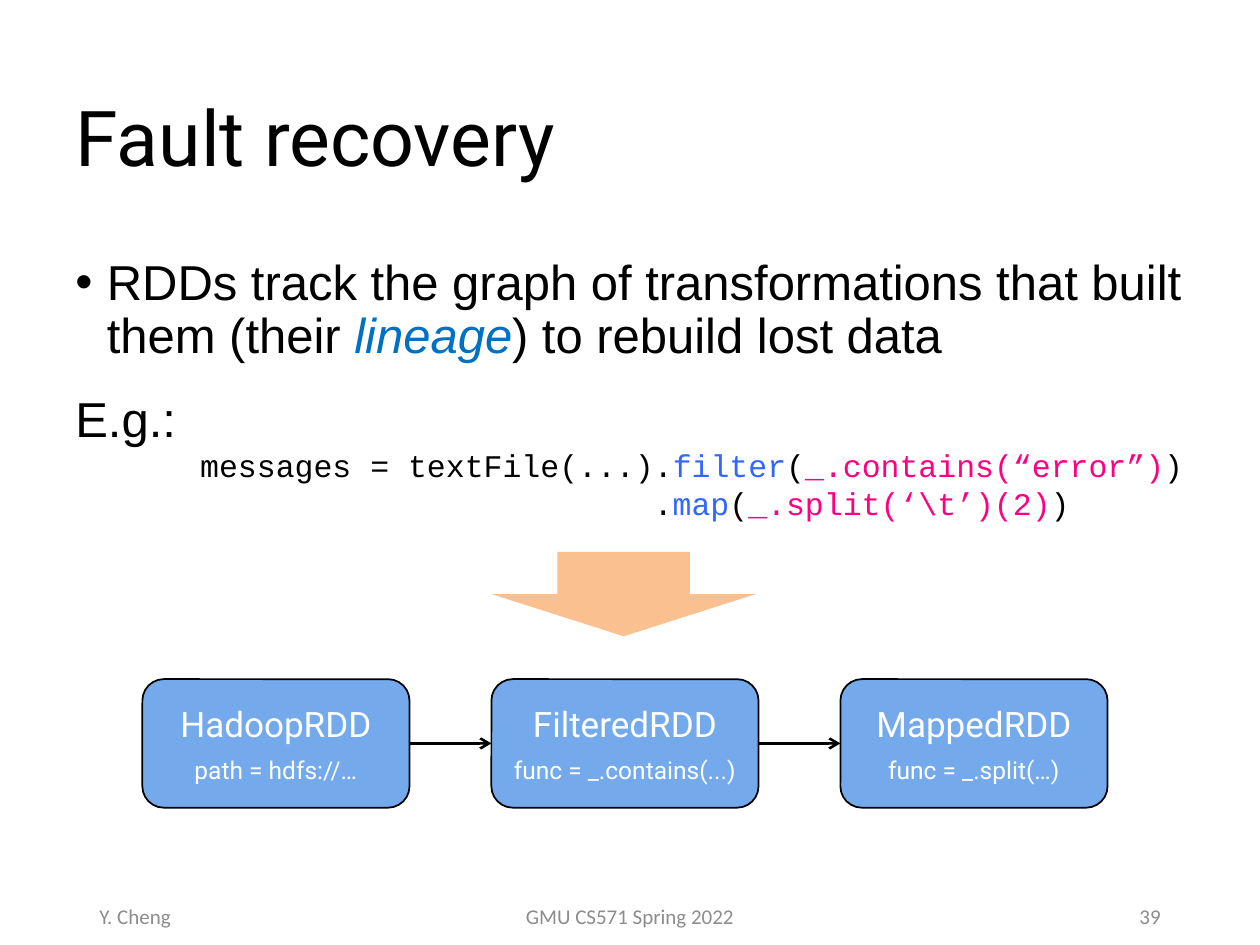
from dataclasses import dataclass

from pptx import Presentation
from pptx import util as u
from pptx.dml.color import RGBColor
from pptx.enum import shapes, text
from pptx.oxml import ns
from lxml import etree


@dataclass(frozen=True)
class Theme:
    """Colours, fonts and type sizes of the deck."""

    ink: str = "000000"
    paper: str = "FFFFFF"
    accent: str = "0070C0"
    method: str = "3366FF"
    closure: str = "FF0080"
    node: str = "74AAEB"
    arrow: str = "FAC090"
    muted: str = "8C8C8C"
    heading_font: str = "Roboto"
    body_font: str = "Arial"
    code_font: str = "Courier New"
    footer_font: str = "Calibri"
    title_size: int = 44
    body_size: int = 28
    node_size: int = 20
    code_size: int = 18
    detail_size: int = 14
    footer_size: int = 12


class SlideBuilder:
    """Draws styled elements on the current slide."""

    def __init__(self, deck, theme):
        self.theme = theme
        self.page = deck.slides.add_slide(deck.slide_layouts[5])

    def style(self, span, font, size, color, italic=False):
        """Format one run."""
        span.font.name = font
        span.font.size = u.Pt(size)
        span.font.color.rgb = RGBColor.from_string(color)
        span.font.italic = italic

    def place(self, box, area):
        """Move and size a shape in inches."""
        box.left, box.top, box.width, box.height = map(u.Inches, area)

    def title(self, words, area):
        """Fill the title placeholder."""
        box = self.page.shapes.title
        self.place(box, area)
        frame = box.text_frame
        frame.text = words
        frame.auto_size = text.MSO_AUTO_SIZE.NONE
        frame.vertical_anchor = text.MSO_ANCHOR.MIDDLE
        para = frame.paragraphs[0]
        para.alignment = text.PP_ALIGN.LEFT
        para.line_spacing = 0.9
        self.style(para.runs[0], self.theme.heading_font, self.theme.title_size, self.theme.ink)

    def text_block(self, area, lines, font, size, align=text.PP_ALIGN.LEFT,
                   anchor=text.MSO_ANCHOR.TOP):
        """Add a wrapped box whose lines are lists of (words, colour, italic)."""
        frame = self.page.shapes.add_textbox(*map(u.Inches, area)).text_frame
        frame.word_wrap = True
        frame.vertical_anchor = anchor
        for index, spans in enumerate(lines):
            para = frame.add_paragraph() if index else frame.paragraphs[0]
            para.alignment = align
            for words, color, italic in spans:
                span = para.add_run()
                span.text = words
                self.style(span, font, size, color, italic)
        return frame.paragraphs

    def indent(self, para, left, first=0.0, bullet=None):
        """Set the indents of a paragraph and its optional bullet."""
        properties = para._p.get_or_add_pPr()
        properties.set("marL", str(u.Inches(left)))
        properties.set("indent", str(u.Inches(first)))
        if bullet:
            etree.SubElement(properties, ns.qn("a:buFont")).set("typeface", self.theme.body_font)
            etree.SubElement(properties, ns.qn("a:buChar")).set("char", bullet)

    def shape(self, kind, area, color):
        """Add a filled preset shape without an outline."""
        box = self.page.shapes.add_shape(kind, *map(u.Inches, area))
        box.shadow.inherit = False
        box.fill.solid()
        box.fill.fore_color.rgb = RGBColor.from_string(color)
        box.line.fill.background()
        return box

    def node(self, area, name, detail):
        """Add a rounded box with a name and a smaller detail."""
        theme = self.theme
        box = self.shape(shapes.MSO_SHAPE.ROUNDED_RECTANGLE, area, theme.node)
        box.line.color.rgb = RGBColor.from_string(theme.ink)
        box.line.width = u.Pt(1)
        frame = box.text_frame
        frame.margin_left = frame.margin_right = 0
        frame.vertical_anchor = text.MSO_ANCHOR.MIDDLE
        frame.text = f"{name}\n{detail}"
        for para, size in zip(frame.paragraphs, (theme.node_size, theme.detail_size)):
            para.alignment = text.PP_ALIGN.CENTER
            self.style(para.runs[0], theme.heading_font, size, theme.paper)
        frame.paragraphs[1].space_before = u.Pt(6)
        return box

    def link(self, source, target):
        """Join the facing sides of two boxes with an arrow."""
        line = self.page.shapes.add_connector(shapes.MSO_CONNECTOR.STRAIGHT, 0, 0, 0, 0)
        line.begin_connect(source, 3)
        line.end_connect(target, 1)
        line.line.color.rgb = RGBColor.from_string(self.theme.ink)
        line.line.width = u.Pt(1.5)
        etree.SubElement(line.line._get_or_add_ln(), ns.qn("a:tailEnd")).set("type", "arrow")
        etree.SubElement(line._element.spPr, ns.qn("a:effectLst"))

    def footer(self, left, width, words, align):
        """Add one footer entry."""
        self.text_block((left, 7.07, width, 0.4), [[(words, self.theme.muted, False)]],
                        self.theme.footer_font, self.theme.footer_size,
                        align, text.MSO_ANCHOR.MIDDLE)


def main():
    """Build the fault recovery slide."""
    deck = Presentation()
    deck.slide_width, deck.slide_height = u.Inches(10), u.Inches(7.5)
    theme = Theme()
    slide = SlideBuilder(deck, theme)
    ink, method, closure = theme.ink, theme.method, theme.closure

    slide.title("Fault recovery", (0.5, 0.5, 9, 1.25))
    slide.shape(shapes.MSO_SHAPE.DOWN_ARROW, (3.9, 4.38, 2.1, 0.67), theme.arrow)

    body = slide.text_block((0.5, 2, 9.08, 2.49), [
        [("RDDs track the graph of transformations that built them (their ", ink, False),
         ("lineage", theme.accent, True),
         (") to rebuild lost data", ink, False)],
        [("E.g.:", ink, False)],
    ], theme.body_font, theme.body_size)
    for para in body:
        para.line_spacing = 0.9
        para.space_before = u.Pt(18)
    slide.indent(body[0], 0.25, -0.25, "•")

    code = slide.text_block((1.49, 3.49, 8.11, 1.01), [
        [("messages = textFile(...).", ink, False), ("filter", method, False),
         ("(", ink, False), ("_.contains(“error”)", closure, False), (")", ink, False)],
        [(".", ink, False), ("map", method, False),
         ("(", ink, False), ("_.split(‘\\t’)(2)", closure, False), (")", ink, False)],
    ], theme.code_font, theme.code_size)
    slide.indent(code[1], 3.6)

    stages = [
        ("HadoopRDD", "path = hdfs://…"),
        ("FilteredRDD", "func = _.contains(...)"),
        ("MappedRDD", "func = _.split(…)"),
    ]
    nodes = [slide.node((1.13 + 2.77 * column, 5.39, 2.12, 1.02), *stage)
             for column, stage in enumerate(stages)]
    for source, target in zip(nodes, nodes[1:]):
        slide.link(source, target)

    slide.footer(0.69, 2.25, "Y. Cheng", text.PP_ALIGN.LEFT)
    slide.footer(3.31, 3.38, "GMU CS571 Spring 2022", text.PP_ALIGN.CENTER)
    slide.footer(7.06, 2.25, "39", text.PP_ALIGN.RIGHT)
    deck.save("out.pptx")


if __name__ == "__main__":
    main()
